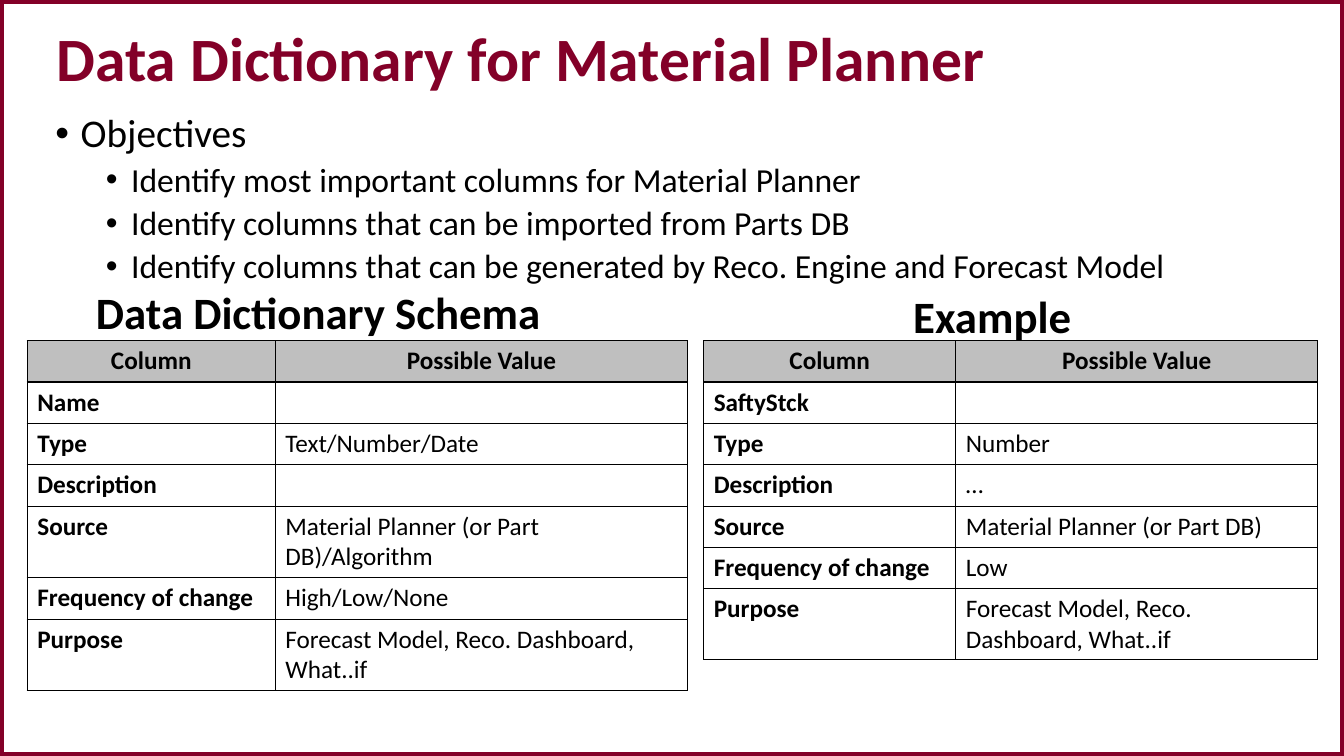
import pptx
import pptx.util
import pptx.dml.color
import pptx.enum.shapes
import pptx.enum.text
import pptx.oxml
import pptx.oxml.ns
import pptx.oxml.xmlchemy

RGBColor = pptx.dml.color.RGBColor
Align = pptx.enum.text.PP_ALIGN
Anchor = pptx.enum.text.MSO_ANCHOR
AutoSize = pptx.enum.text.MSO_AUTO_SIZE
Pt = pptx.util.Pt

MAROON = RGBColor(0x83, 0x00, 0x28)
BLACK = RGBColor(0x00, 0x00, 0x00)
GRAY = RGBColor(0xBF, 0xBF, 0xBF)

WIDTH = pptx.util.Inches(13.33)
HEIGHT = pptx.util.Inches(7.5)
ROW_SHARE = 5.47  # height of a table row, percent of the slide

TITLE_FONT = {"name": "Calibri", "size": Pt(44), "bold": True}
HEADING_FONT = {"name": "Calibri", "size": Pt(32), "bold": True}
LABEL_FONT = {"name": "Calibri", "size": Pt(18), "bold": True}
VALUE_FONT = {"name": "Calibri", "size": Pt(18), "bold": False}

# Per list level: font, space before, left indent in inches
LEVELS = [
    ({"name": "Calibri", "size": Pt(28)}, Pt(10), 0.25),
    ({"name": "Calibri", "size": Pt(24)}, Pt(5), 0.75),
]

OBJECTIVES = [
    (0, "Objectives"),
    (1, "Identify most important columns for Material Planner"),
    (1, "Identify columns that can be imported from Parts DB"),
    (1, "Identify columns that can be generated by Reco. Engine and Forecast Model"),
]

LABELS = ["Type", "Description", "Source", "Frequency of change", "Purpose"]
PURPOSE = "Forecast Model, Reco. Dashboard, What..if"

# Boxes are left, top, width, height in percent of the slide; a heading is
# left and width in percent of its table, then its rise above the table
PANELS = [
    {
        "box": (2.03, 45.07, 49.14, 7 * ROW_SHARE),
        "heading": ("Data Dictionary Schema", 8.9, 71, 8.13),
        "first_column": 37.56,
        "name": "Name",
        "values": ["Text/Number/Date", "", "Material Planner (or Part DB)/Algorithm",
                   "High/Low/None", PURPOSE],
    },
    {
        "box": (52.36, 45.07, 45.69, 7 * ROW_SHARE),
        "heading": ("Example", 32.5, 29.2, 7.6),
        "first_column": 41.05,
        "name": "SaftyStck",
        "values": ["Number", "…", "Material Planner (or Part DB)", "Low", PURPOSE],
    },
]


def on_slide(left, top, width, height):
    """Turn percent of the slide into lengths."""
    return (int(WIDTH * left / 100), int(HEIGHT * top / 100),
            int(WIDTH * width / 100), int(HEIGHT * height / 100))


def apply(target, values):
    for name, value in values.items():
        setattr(target, name, value)


def place(shape, box):
    apply(shape, dict(zip(("left", "top", "width", "height"), on_slide(*box))))


def write(para, text, font, color=BLACK):
    span = para.add_run()
    span.text = text
    apply(span.font, font)
    span.font.color.rgb = color


def add_bullet(para, indent):
    properties = para._p.get_or_add_pPr()
    properties.set("marL", str(pptx.util.Inches(indent)))
    properties.set("indent", str(-pptx.util.Inches(0.25)))
    namespace = pptx.oxml.ns.nsdecls("a")
    for markup in (f'<a:buFont {namespace} typeface="Arial"/>',
                   f'<a:buChar {namespace} char="•"/>'):
        properties.append(pptx.oxml.parse_xml(markup))


def add_borders(cell, bottom):
    properties = cell._tc.get_or_add_tcPr()
    namespace = pptx.oxml.ns.nsdecls("a")
    sides = {"lnL": 1, "lnR": 1, "lnT": 1, "lnB": bottom}
    for position, (side, points) in enumerate(sides.items()):
        properties.insert(position, pptx.oxml.parse_xml(
            f'<a:{side} {namespace} w="{Pt(points)}"><a:solidFill>'
            f'<a:srgbClr val="{BLACK}"/></a:solidFill></a:{side}>'))


def add_frame(page):
    frame = page.shapes.add_shape(pptx.enum.shapes.MSO_SHAPE.RECTANGLE,
                                  *on_slide(0, 0, 100, 100))
    frame.shadow.inherit = False
    frame.fill.background()
    frame.line.color.rgb = MAROON
    frame.line.width = Pt(6)
    # Behind everything else
    frame._element.getparent().insert(2, frame._element)


def add_title(page, box):
    title = page.shapes.title
    place(title, box)
    apply(title.text_frame, {"vertical_anchor": Anchor.MIDDLE, "word_wrap": True,
                             "auto_size": AutoSize.NONE})
    para = title.text_frame.paragraphs[0]
    apply(para, {"alignment": Align.LEFT, "line_spacing": 0.9})
    write(para, "Data Dictionary for Material Planner", TITLE_FONT, MAROON)


def add_objectives(page, box):
    body = page.placeholders[1]
    place(body, box)
    frame = body.text_frame
    apply(frame, {"vertical_anchor": Anchor.TOP, "word_wrap": True,
                  "auto_size": AutoSize.NONE})
    for number, (level, text) in enumerate(OBJECTIVES):
        para = frame.add_paragraph() if number else frame.paragraphs[0]
        font, gap, indent = LEVELS[level]
        apply(para, {"level": level, "line_spacing": 0.9, "space_before": gap})
        add_bullet(para, indent)
        write(para, text, font)


def add_panel(page, panel):
    left, top, width, height = panel["box"]

    # Table
    rows = [("Column", "Possible Value"), (panel["name"], "")]
    rows += zip(LABELS, panel["values"])
    table = page.shapes.add_table(len(rows), 2, *on_slide(*panel["box"])).table
    apply(table, {"first_row": False, "horz_banding": False})
    first = panel["first_column"]
    for column, share in zip(table.columns, (first, 100 - first)):
        column.width = int(WIDTH * width * share / 10000)
    for row_number, texts in enumerate(rows):
        is_header = row_number == 0
        for column_number, text in enumerate(texts):
            cell = table.cell(row_number, column_number)
            if is_header:
                cell.fill.solid()
                cell.fill.fore_color.rgb = GRAY
            else:
                cell.fill.background()
            add_borders(cell, 2 if is_header else 1)
            para = cell.text_frame.paragraphs[0]
            para.alignment = Align.CENTER if is_header else Align.LEFT
            if text:
                is_label = is_header or column_number == 0
                write(para, text, LABEL_FONT if is_label else VALUE_FONT)

    # Heading above the table
    text, offset, share, rise = panel["heading"]
    heading = page.shapes.add_textbox(*on_slide(
        left + width * offset / 100, top - rise, width * share / 100, 8.53))
    apply(heading.text_frame, {"word_wrap": False,
                               "auto_size": AutoSize.SHAPE_TO_FIT_TEXT})
    write(heading.text_frame.paragraphs[0], text, HEADING_FONT)


def main():
    deck = pptx.Presentation()
    apply(deck, {"slide_width": WIDTH, "slide_height": HEIGHT})
    page = deck.slides.add_slide(deck.slide_layouts[1])
    add_frame(page)
    add_title(page, (3.45, 2, 93.25, 12.4))
    add_objectives(page, (3.38, 14.4, 93.25, 25.6))
    for panel in PANELS:
        add_panel(page, panel)
    deck.save("out.pptx")


if __name__ == "__main__":
    main()
